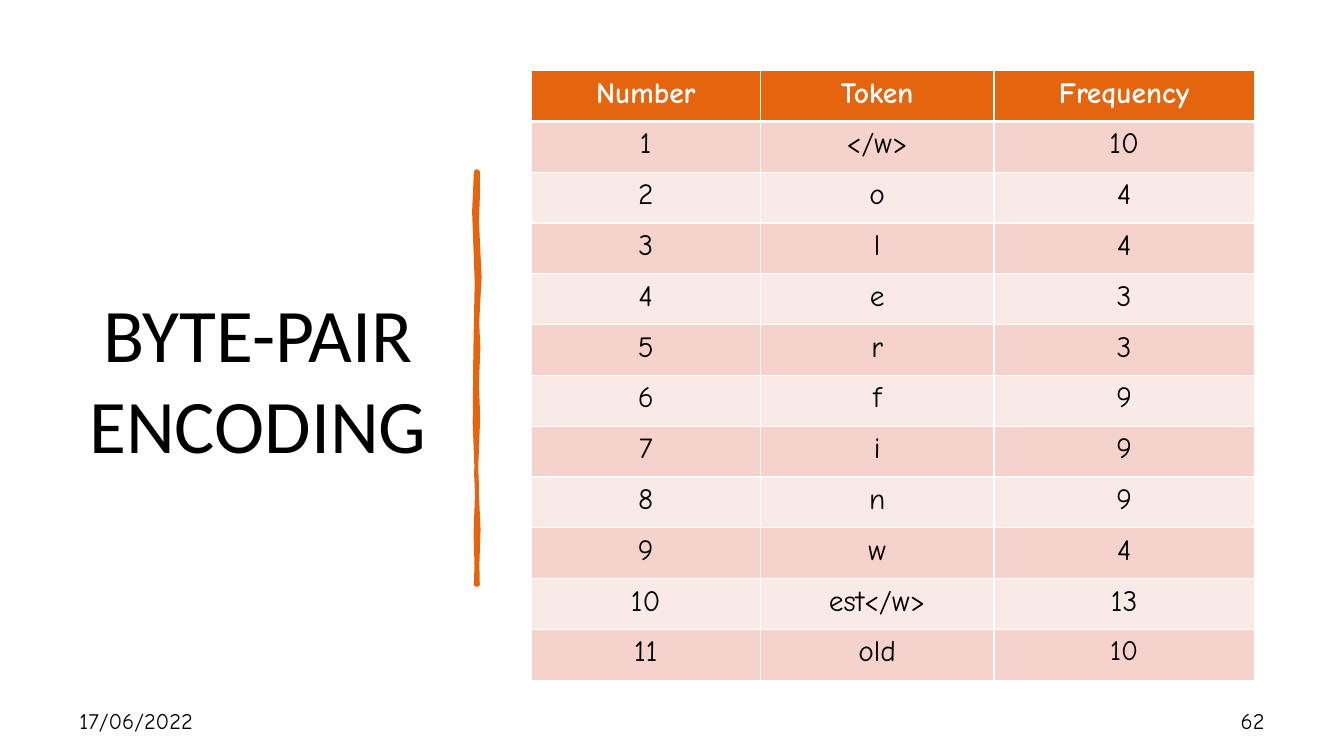
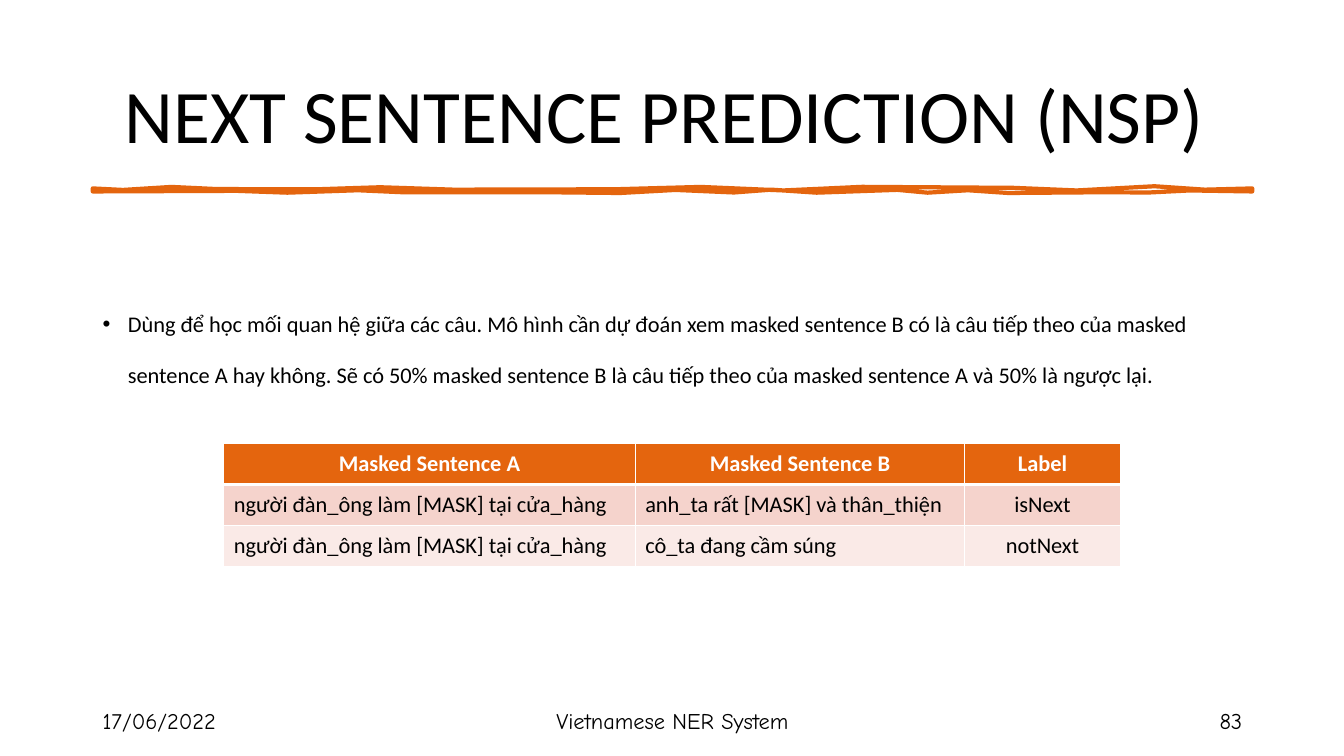
"""Build two slides on byte-pair encoding and next sentence prediction."""
from dataclasses import dataclass

from lxml import etree
from pptx import Presentation
from pptx.dml.color import RGBColor
from pptx.enum import text
from pptx.oxml import ns
from pptx.util import Inches, Pt


@dataclass(frozen=True)
class Theme:
    accent: str = "E4650E"
    dark_row: str = "F5D3CC"
    light_row: str = "FAEAE7"
    ink: str = "000000"
    white: str = "FFFFFF"
    body_font: str = "Calibri"
    hand_font: str = "Comic Neue"
    title_size: int = 54
    text_size: int = 16
    token_size: int = 21
    last_token_size: int = 20


THEME = Theme()
LEFT, CENTER, RIGHT = text.PP_ALIGN.LEFT, text.PP_ALIGN.CENTER, text.PP_ALIGN.RIGHT
TOP, MIDDLE = text.MSO_ANCHOR.TOP, text.MSO_ANCHOR.MIDDLE
DATE = "17/06/2022"

TOKENS = [
    ("Number", "Token", "Frequency"),
    ("1", "</w>", "10"),
    ("2", "o", "4"),
    ("3", "l", "4"),
    ("4", "e", "3"),
    ("5", "r", "3"),
    ("6", "f", "9"),
    ("7", "i", "9"),
    ("8", "n", "9"),
    ("9", "w", "4"),
    ("10", "est</w>", "13"),
    ("11", "old", "10"),
]
SENTENCES = [
    ("Masked Sentence A", "Masked Sentence B", "Label"),
    ("người đàn_ông làm [MASK] tại cửa_hàng", "anh_ta rất [MASK] và thân_thiện", "isNext"),
    ("người đàn_ông làm [MASK] tại cửa_hàng", "cô_ta đang cầm súng", "notNext"),
]
NSP_TEXT = (
    "Dùng để học mối quan hệ giữa các câu. Mô hình cần dự đoán xem masked sentence B "
    "có là câu tiếp theo của masked sentence A hay không. Sẽ có 50% masked sentence B "
    "là câu tiếp theo của masked sentence A và 50% là ngược lại."
)

# Each strand: (position in inches, sideways wobble in thousandths of an inch).
RULE_STRANDS = (
    [(0.92, 0), (1.22, 15), (1.7, -15), (2.15, 6), (3.15, 8), (3.77, -12),
     (4.5, 12), (6.1, 8), (6.95, -15), (7.77, 20), (8.55, -16),
     (10.05, -6), (10.68, 20), (11.45, -22), (11.95, 12), (12.42, 0)],
    [(12.42, 0), (11.8, -10), (11.4, 10), (10.9, 8), (10, 15),
     (9.6, -12), (9.2, 12), (8.9, -16), (8.1, 12), (7.65, -18), (7.28, 10), (6.7, -15),
     (6.15, 15), (5.45, 8), (4, 8), (3.55, -12), (2.85, 12), (2.35, -6), (0.92, 0)],
)
BAR_STRANDS = (
    [(1.7, 0), (1.9, 3), (2.2, -8), (2.75, 18), (3.2, -6), (3.45, 6), (3.8, -8),
     (4.15, 4), (4.7, -18), (5.25, 8), (5.6, -4), (5.8, 0)],
    [(5.8, 0), (5.6, 6), (5.3, -4), (4.85, 13), (4.2, -12), (3.5, -6), (2.8, 8),
     (2.1, -18), (1.7, 0)],
)


def rgb(color):
    return RGBColor.from_string(color)


def style(p, size, font, color=THEME.ink, align=LEFT, bold=False):
    p.alignment = align
    p.font.size, p.font.name, p.font.bold = Pt(size), font, bold
    p.font.color.rgb = rgb(color)


def add_text(slide, box, words, size=THEME.text_size, font=THEME.body_font,
             align=LEFT, anchor=MIDDLE, bullet=False):
    tf = slide.shapes.add_textbox(*map(Inches, box)).text_frame
    tf.word_wrap, tf.vertical_anchor = True, anchor
    p = tf.paragraphs[0]
    p.text = words
    if bullet:
        p.line_spacing = 1.9
        props = p._p.get_or_add_pPr()
        props.set("marL", str(Inches(0.25)))
        props.set("indent", str(-Inches(0.25)))
        etree.SubElement(props, ns.qn("a:buFont"), typeface="Arial")
        etree.SubElement(props, ns.qn("a:buChar"), char="•")
    style(p, size, font, align=align)


def add_title(slide, box, words):
    add_text(slide, box, words, THEME.title_size, align=CENTER)


def add_footers(slide, footers):
    for left, width, words, align in footers:
        add_text(slide, (left, 6.95, width, 0.4), words, font=THEME.hand_font, align=align)


def add_stroke(slide, strands, bases, width, vertical=False, filled=False):
    points = [(along, base + wobble / 1000)
              for strand, base in zip(strands, bases) for along, wobble in strand]
    points = [tuple(map(Inches, pt[::-1] if vertical else pt)) for pt in points]
    builder = slide.shapes.build_freeform(*points[0])
    builder.add_line_segments(points[1:], close=True)
    sp = builder.convert_to_shape()
    sp.shadow.inherit = False
    if filled:
        sp.fill.solid()
        sp.fill.fore_color.rgb = rgb(THEME.accent)
    else:
        sp.fill.background()
    sp.line.color.rgb = rgb(THEME.accent)
    sp.line.width = Pt(width)
    etree.SubElement(sp.line._get_or_add_ln(), ns.qn("a:round"))


def add_borders(cell, row):
    widths = {"L": 1, "R": 1, "T": 3 if row == 1 else 1, "B": 3 if row == 0 else 1}
    for side, width in widths.items():
        ln = etree.SubElement(cell._tc.get_or_add_tcPr(), ns.qn(f"a:ln{side}"), w=str(Pt(width)))
        fill = etree.SubElement(ln, ns.qn("a:solidFill"))
        etree.SubElement(fill, ns.qn("a:srgbClr"), val=THEME.white)


def add_grid(slide, box, widths, rows, aligns, size, font, anchor, margins):
    table = slide.shapes.add_table(len(rows), len(widths), *map(Inches, box)).table
    for column, width in zip(table.columns, widths):
        column.width = Inches(width)
    for r, row in enumerate(rows):
        header = r == 0
        color = THEME.accent if header else THEME.dark_row if r % 2 else THEME.light_row
        for c, words in enumerate(row):
            cell = table.cell(r, c)
            add_borders(cell, r)
            cell.fill.solid()
            cell.fill.fore_color.rgb = rgb(color)
            cell.vertical_anchor = anchor
            cell.margin_left = cell.margin_right = Inches(margins[0])
            cell.margin_top = cell.margin_bottom = Inches(margins[1])
            p = cell.text_frame.paragraphs[0]
            p.text = words
            style(p, size, font, THEME.white if header else THEME.ink,
                  CENTER if header else aligns[c], header)
    return table


def build_encoding(slide):
    add_title(slide, (0.69, 0.69, 3.74, 6.11), "BYTE-PAIR ENCODING")
    add_stroke(slide, BAR_STRANDS, (4.74, 4.72), 2.75, vertical=True, filled=True)
    add_footers(slide, [(0.69, 3, DATE, LEFT), (10.64, 2, "62", RIGHT)])
    table = add_grid(slide, (5.27, 0.7, 7.17, 6.05), (2.27, 2.32, 2.58), TOKENS, (CENTER,) * 3,
                     THEME.token_size, THEME.hand_font, TOP, (0.12, 0.06))
    last = table.cell(len(TOKENS) - 1, 2).text_frame.paragraphs[0]
    last.font.size = Pt(THEME.last_token_size)


def build_prediction(slide):
    add_stroke(slide, RULE_STRANDS, (1.87, 1.9), 3)
    add_title(slide, (0.84, 0.4, 11.5, 1.45), "NEXT SENTENCE PREDICTION (NSP)")
    add_footers(slide, [(9.42, 3, "83", RIGHT), (0.92, 2.5, DATE, LEFT),
                        (4.42, 4.5, "Vietnamese NER System", CENTER)])
    add_text(slide, (0.92, 2.79, 11.5, 3.22), NSP_TEXT, anchor=TOP, bullet=True)
    add_grid(slide, (2.22, 4.4, 8.89, 1.22), (4.08, 3.27, 1.54), SENTENCES,
             (LEFT, LEFT, CENTER), THEME.text_size, THEME.body_font, MIDDLE, (0.1, 0.05))


def main():
    prs = Presentation()
    prs.slide_width, prs.slide_height = Inches(13.33), Inches(7.5)
    for build in (build_encoding, build_prediction):
        build(prs.slides.add_slide(prs.slide_layouts[6]))
    prs.save("out.pptx")


if __name__ == "__main__":
    main()
